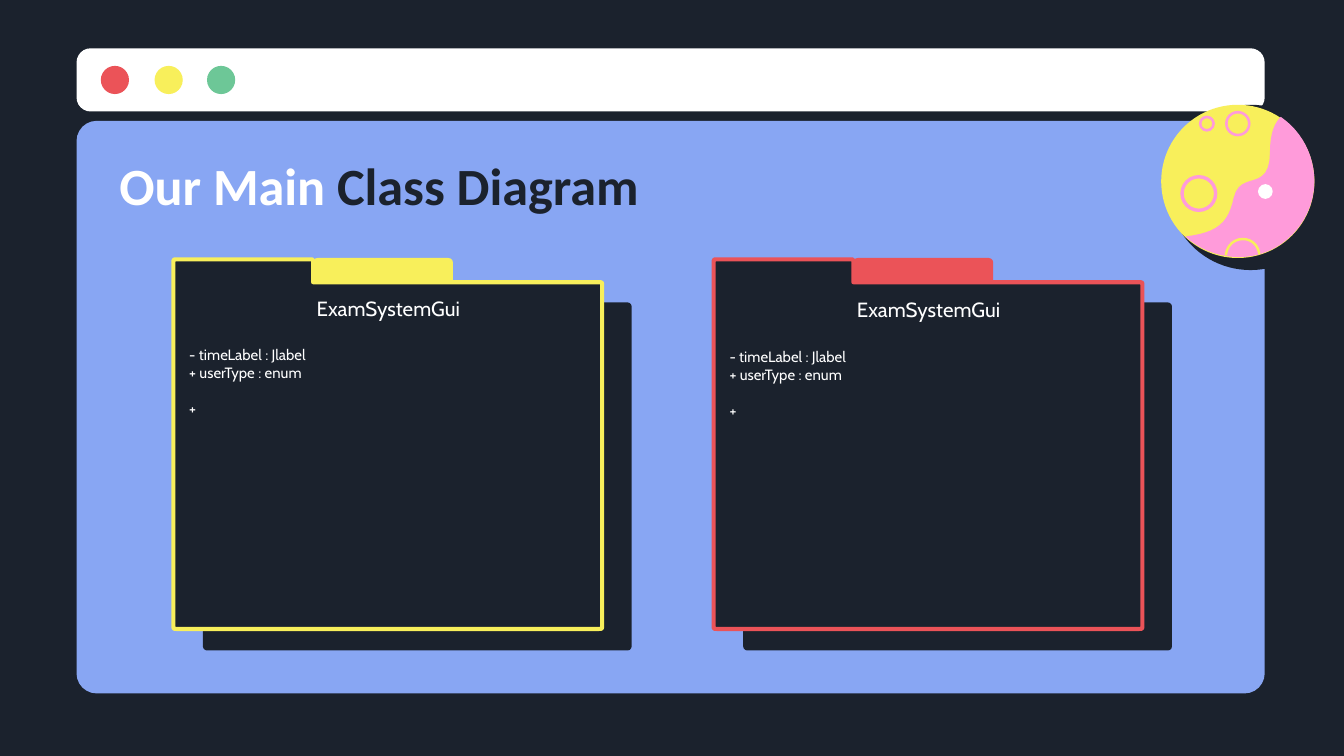
from pptx import Presentation
from pptx.dml.color import RGBColor
from pptx.enum.shapes import MSO_SHAPE
from pptx.enum.text import MSO_ANCHOR, PP_ALIGN
from pptx.util import Inches, Pt

DARK = RGBColor(0x1B, 0x22, 0x2D)
WHITE = RGBColor(0xFF, 0xFF, 0xFF)
BLUE = RGBColor(0x88, 0xA6, 0xF3)
RED = RGBColor(0xEB, 0x53, 0x58)
YELLOW = RGBColor(0xF8, 0xEF, 0x5B)
GREEN = RGBColor(0x6D, 0xC7, 0x97)
PINK = RGBColor(0xFF, 0x9B, 0xDA)
ROUND, OVAL = MSO_SHAPE.ROUNDED_RECTANGLE, MSO_SHAPE.OVAL
TOP, MIDDLE = MSO_ANCHOR.TOP, MSO_ANCHOR.MIDDLE
LEFT, CENTER = PP_ALIGN.LEFT, PP_ALIGN.CENTER

prs = Presentation()
prs.slide_width = Inches(10)
prs.slide_height = Inches(10 * 9 / 16)
s = prs.slides.add_slide(prs.slide_layouts[6])
s.background.fill.solid()
s.background.fill.fore_color.rgb = DARK


def draw(geometry, box, fill=None, line=None, width=1, radius=None, closed=True):
    """Draw a preset in box or, if geometry is a list, a path.

    A path is a start point, then steps of 2 numbers (line) or 6 (Bezier curve).
    """
    if isinstance(geometry, list):
        points = [geometry[0]]
        for step in geometry[1:]:
            if len(step) == 2:
                points.append(step)
                continue
            ctrl = [points[-1], step[:2], step[2:4], step[4:]]
            for t in (i / 12 for i in range(1, 13)):
                weights = ((1 - t) ** 3, 3 * t * (1 - t) ** 2, 3 * t * t * (1 - t), t ** 3)
                points.append([sum(w * c[axis] for w, c in zip(weights, ctrl)) for axis in (0, 1)])
        points = [(Inches(x), Inches(y)) for x, y in points]
        builder = s.shapes.build_freeform(*points[0], scale=1.0)
        builder.add_line_segments(points[1:], close=closed)
        sp = builder.convert_to_shape()
    else:
        sp = s.shapes.add_shape(geometry, *map(Inches, box))
    if radius is not None:
        sp.adjustments[0] = radius
    sp.shadow.inherit = False
    for part, color in ((sp.fill, fill), (sp.line.fill, line)):
        if color is None:
            part.background()
        else:
            part.solid()
            part.fore_color.rgb = color
    if line is not None:
        sp.line.width = Pt(width)


def add_text(box, paragraphs, size, font, anchor=TOP, align=LEFT, bold=False):
    """Each paragraph is (space before in points, [(text, colour), ...])."""
    tf = s.shapes.add_textbox(*map(Inches, box)).text_frame
    frame = {"word_wrap": True, "vertical_anchor": anchor}
    frame.update({f"margin_{side}": Inches(0.1) for side in ("left", "top", "right", "bottom")})
    for name, value in frame.items():
        setattr(tf, name, value)
    for i, (space, runs) in enumerate(paragraphs):
        p = tf.add_paragraph() if i else tf.paragraphs[0]
        p.alignment, p.space_before = align, Pt(space)
        for text, color in runs:
            r = p.add_run()
            r.text = text
            for name, value in {"size": Pt(size), "name": font, "bold": bold}.items():
                setattr(r.font, name, value)
            r.font.color.rgb = color


# Browser window
draw(ROUND, (0.57, 0.9, 8.84, 4.26), BLUE, radius=0.035)
draw(ROUND, (0.57, 0.36, 8.84, 0.47), WHITE, radius=0.223)
for x, color in ((0.75, RED), (1.15, YELLOW), (1.54, GREEN)):
    draw(OVAL, (x, 0.49, 0.21, 0.21), color)

# Planet
draw(OVAL, (8.69, 0.78, 1.23, 1.23), DARK)
draw(OVAL, (8.64, 0.78, 1.14, 1.14), YELLOW)
for cx, cy, d, width in ((9.21, 0.92, 0.17, 1.4), (8.92, 1.44, 0.25, 1.8), (8.98, 0.92, 0.1, 1.4)):
    draw(OVAL, (cx - d / 2, cy - d / 2, d, d), line=PINK, width=width)
land = [
    (9.53, 0.87), (9.69, 0.98, 9.78, 1.16, 9.78, 1.35), (9.78, 1.6, 9.61, 1.82, 9.38, 1.89),
    (9.18, 1.95, 8.96, 1.89, 8.82, 1.76), (9.06, 1.73, 9.14, 1.66, 9.18, 1.47),
    (9.23, 1.26, 9.45, 1.44, 9.45, 1.13), (9.45, 0.98, 9.49, 0.91, 9.53, 0.87),
]
draw(land, None, PINK)
crater = [(9.37, 1.89), (9.35, 1.74, 9.14, 1.74, 9.12, 1.9)]
draw(crater, None, line=YELLOW, width=1.3, closed=False)
draw(OVAL, (9.36, 1.37, 0.11, 0.11), WHITE)

add_text((0.79, 1.06, 8.43, 0.62), [(0, [("Our Main ", WHITE), ("Class Diagram", DARK)])],
         28, "Calibri", MIDDLE, bold=True)

# Class folders
members = [(0, "- timeLabel : Jlabel"), (0, "+ userType : enum"), (9.7, "+")]
body = [(space, [(text, WHITE)]) for space, text in members]
C = 0.03  # corner radius
for x, name_y, body_y, color in ((1.29, 2.11, 2.47, YELLOW), (5.31, 2.12, 2.49, RED)):
    draw(ROUND, (x + 0.22, 2.25, 3.19, 2.59), DARK, radius=0.012)
    draw(ROUND, (x + 1.04, 1.92, 1.04, 0.33), color, radius=0.1)
    tab, right, top, edge, bottom = x + 1.04, x + 3.19, 1.93, 2.1, 4.68
    folder = [
        (tab, edge), (right - C, edge), (right, edge, right, edge, right, edge + C),
        (right, bottom - C), (right, bottom, right, bottom, right - C, bottom),
        (x + C, bottom), (x, bottom, x, bottom, x, bottom - C),
        (x, top + C), (x, top, x, top, x + C, top),
        (tab - C, top), (tab, top, tab, top, tab, top + C),
    ]
    draw(folder, None, DARK, color, 2.25)
    add_text((x + 0.02, name_y, 3.16, 0.37), [(0, [("ExamSystemGui", WHITE)])],
             11, "Cabin", MIDDLE, CENTER)
    add_text((x + 0.02, body_y, 3.16, 2.2), body, 8, "Cabin")

prs.save("out.pptx")
